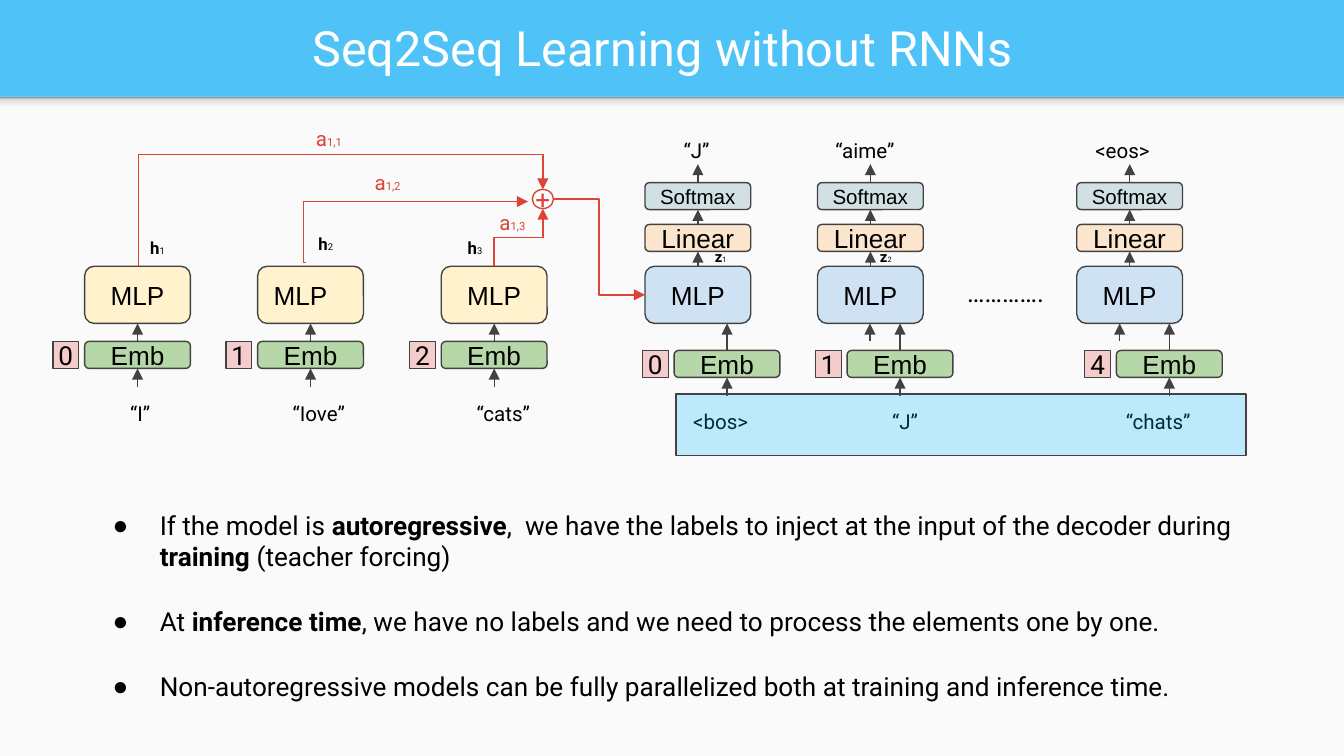
from lxml import etree
from pptx import Presentation
from pptx.dml.color import RGBColor
from pptx.enum.shapes import MSO_CONNECTOR, MSO_SHAPE
from pptx.enum.text import MSO_ANCHOR, MSO_AUTO_SIZE, PP_ALIGN
from pptx.oxml.ns import qn
from pptx.util import Cm, Pt

STRAIGHT, ELBOW = MSO_CONNECTOR.STRAIGHT, MSO_CONNECTOR.ELBOW
RECT, ROUND, OVAL = MSO_SHAPE.RECTANGLE, MSO_SHAPE.ROUNDED_RECTANGLE, MSO_SHAPE.OVAL
LEFT, CENTER = PP_ALIGN.LEFT, PP_ALIGN.CENTER
TOP, MIDDLE = MSO_ANCHOR.TOP, MSO_ANCHOR.MIDDLE

THEME = {
    "font": "Roboto", "block_font": "Arial",
    "header": "4FC3F7", "paper": "FAFAFA", "white": "FFFFFF", "text": "000000",
    "line": "424242", "attention": "DB4437", "index": "F4CCCC", "inputs": "00B6FF",
    "encoder": "FFF2CC", "decoder": "CFE2F3", "emb": "B6D7A8",
    "linear": "FCE5CD", "softmax": "D0E0E3",
    "title_size": 26, "body_size": 14, "label_size": 11,
    "stroke": 0.75, "margin": 0.25,
}
SHADOW_STOPS = [(0, "F9F9F9"), (36, "F9F9F9"), (80, "DEDEDE"), (100, "999999")]

# Content (lengths in cm)
TITLE = "Seq2Seq Learning without RNNs"
BULLETS = [
    [("If the model is ", False), ("autoregressive", True),
     (",  we have the labels to inject at the input of the decoder during ", False),
     ("training", True), (" (teacher forcing)", False)],
    [("At ", False), ("inference time", True),
     (", we have no labels and we need to process the elements one by one.", False)],
    [("Non-autoregressive models can be fully parallelized both at training "
      "and inference time.", False)],
]
# block left, position, MLP alignment, word, word left, word width
ENCODER = [
    (1.6, "0", CENTER, "“I”", 2.21, 1.12),
    (4.87, "1", LEFT, "“Iove”", 5.28, 1.6),
    (8.34, "2", CENTER, "“cats”", 8.76, 1.6),
]
# block left, emb left, position, (output, left, width), (input, left, width), side arrow x
DECODER = [
    (12.19, 12.74, "0", ("“J”", 12.67, 1.12), ("<bos>", 12.85, 1.78), None),
    (15.45, 16.01, "1", ("“aime”", 15.54, 1.78), ("“J”", 16.61, 1.12), 16.44),
    (20.35, 21.1, "4", ("<eos>", 20.45, 2.0), ("“chats”", 21.03, 1.85), 21.16),
]
# letter, subscript, left, top, width, sizes, colour, bold
MARKS = [
    ("h", "1", 2.59, 4.24, 0.97, (9, 5), "text", True),
    ("h", "2", 5.77, 4.17, 0.9, (9, 5), "text", True),
    ("h", "3", 8.59, 4.24, 0.91, (9, 5), "text", True),
    ("z", "1", 13.26, 4.42, 0.8, (8, 4), "text", True),
    ("z", "2", 16.38, 4.42, 0.8, (8, 4), "text", True),
    ("a", "1,1", 5.72, 2.13, 1.22, (11, 6), "attention", False),
    ("a", "1,2", 6.83, 2.97, 1.22, (11, 6), "attention", False),
    ("a", "1,3", 9.19, 3.71, 1.35, (11, 6), "attention", False),
]

# Rows of the diagram
BLOCK_W, MLP_H, BAR_H, INDEX_W, INDEX_STEP = 2.0, 1.08, 0.51, 0.49, 0.6
SOFTMAX_Y, LINEAR_Y, MLP_Y = 3.45, 4.24, 5.03
ENC_EMB_Y, DEC_EMB_Y = 6.45, 6.62
ARROW, LABEL_H = 0.35, 1.0

prs = Presentation()
prs.slide_width, prs.slide_height = Cm(25.4), Cm(14.28)
s = prs.slides.add_slide(prs.slide_layouts[1])


def rgb(name):
    return RGBColor.from_string(THEME.get(name, name))


def write(p, text, *, size=THEME["label_size"], color="text", bold=False,
          font=THEME["font"], align=LEFT):
    p.alignment = align
    r = p.add_run()
    r.text = text
    r.font.size, r.font.bold, r.font.name = Pt(size), bold, font
    r.font.color.rgb = rgb(color)


def frame(sp, anchor=TOP, side=THEME["margin"], edge=THEME["margin"]):
    tf = sp.text_frame
    tf.word_wrap, tf.auto_size, tf.vertical_anchor = True, MSO_AUTO_SIZE.NONE, anchor
    tf.margin_left = tf.margin_right = Cm(side)
    tf.margin_top = tf.margin_bottom = Cm(edge)
    return tf


def label(x, y, w, text, h=LABEL_H, **fmt):
    p = frame(s.shapes.add_textbox(Cm(x), Cm(y), Cm(w), Cm(h))).paragraphs[0]
    write(p, text, **fmt)
    return p


def box(kind, x, y, w, h, fill, line="line", text=None, side=0, **fmt):
    sp = s.shapes.add_shape(kind, Cm(x), Cm(y), Cm(w), Cm(h))
    sp.shadow.inherit = False
    sp.fill.solid()
    sp.fill.fore_color.rgb = rgb(fill)
    if line:
        sp.line.color.rgb, sp.line.width = rgb(line), Pt(THEME["stroke"])
    else:
        sp.line.fill.background()
    if text:
        write(frame(sp, MIDDLE, side, 0).paragraphs[0], text, **fmt)
    return sp


def block(x, y, h, fill, text, size=THEME["body_size"], align=CENTER):
    return box(ROUND, x, y, BLOCK_W, h, fill, text=text, side=THEME["margin"],
               size=size, align=align, font=THEME["block_font"])


def index(emb_x, y, text):
    box(RECT, emb_x - INDEX_STEP, y, INDEX_W, BAR_H, "index", text=text,
        size=THEME["body_size"], align=CENTER)


def arrow(x1, y1, x2, y2, kind=STRAIGHT, color="line", start=None, end=None):
    c = s.shapes.add_connector(kind, Cm(x1), Cm(y1), Cm(x2), Cm(y2))
    c.line.color.rgb, c.line.width = rgb(color), Pt(THEME["stroke"])
    etree.SubElement(c.line._get_or_add_ln(), qn("a:tailEnd"), type="triangle")
    etree.SubElement(c._element.spPr, qn("a:effectLst"))
    if start is not None:
        c.begin_connect(start, 0)
    if end is not None:
        c.end_connect(end, 2)
    return c


def elbow(x1, y1, x2, y2, bend, upright=False):
    """Bend at a share of the way; upright ones leave and arrive vertically."""
    c = arrow(x1, y1, x2, y2, ELBOW, "attention")
    if upright:
        w, h = y1 - y2, x2 - x1
        c.begin_x, c.end_x = Cm((x1 + x2 - w) / 2), Cm((x1 + x2 + w) / 2)
        c.begin_y, c.end_y = Cm((y1 + y2 - h) / 2), Cm((y1 + y2 + h) / 2)
        xfrm = c._element.spPr.find(qn("a:xfrm"))
        xfrm.attrib.pop("flipV", None)
        xfrm.set("rot", str(270 * 60000))
    guides = c._element.spPr.find(qn("a:prstGeom")).get_or_add_avLst()
    etree.SubElement(guides, qn("a:gd"), name="adj1", fmla=f"val {round(bend * 100000)}")


# Page and header shadow, behind the placeholders
page = box(RECT, 0, 1.83, 25.4, 12.45, "paper", None)
shadow = box(RECT, 0, 1.83, 25.4, 0.3, "paper", None)
s.background.fill.solid()
s.background.fill.fore_color.rgb = rgb("header")
shadow.fill.gradient()
shadow.fill.gradient_angle = 90
stops = shadow._element.spPr.find(qn("a:gradFill")).find(qn("a:gsLst"))
for old in list(stops):
    stops.remove(old)
for pos, color in SHADOW_STOPS:
    gs = etree.SubElement(stops, qn("a:gs"), pos=str(pos * 1000))
    etree.SubElement(gs, qn("a:srgbClr"), val=color)
for place, sp in enumerate((page, shadow), 2):
    s.shapes._spTree.insert(place, sp._element)

# Title and bullets
title, body = s.shapes.title, s.placeholders[1]
title.left, title.top, title.width, title.height = Cm(0.28), Cm(0.05), Cm(24.5), Cm(1.68)
write(frame(title, MIDDLE).paragraphs[0], TITLE, size=THEME["title_size"],
      color="white", align=CENTER)
body.left, body.top, body.width, body.height = Cm(1.5), Cm(9.37), Cm(22.55), Cm(4.2)
tf = frame(body)
for i, runs in enumerate(BULLETS):
    p = tf.add_paragraph() if i else tf.paragraphs[0]
    pPr = p._p.get_or_add_pPr()
    pPr.set("marL", str(Cm(1.27)))
    pPr.set("indent", str(-Cm(0.89)))
    etree.SubElement(etree.SubElement(pPr, qn("a:buClr")), qn("a:srgbClr"), val=THEME["text"])
    etree.SubElement(pPr, qn("a:buChar"), char="●")
    p.space_before = Pt(18 if i else 0)
    for text, bold in runs:
        write(p, text, size=THEME["body_size"], bold=bold)

# Encoder columns
for x, number, align, word, word_x, word_w in ENCODER:
    mid, foot = x + BLOCK_W / 2, ENC_EMB_Y + BAR_H
    mlp = block(x, MLP_Y, MLP_H, "encoder", "MLP", align=align)
    emb = block(x, ENC_EMB_Y, BAR_H, "emb", "Emb")
    arrow(mid, ENC_EMB_Y, mid, MLP_Y + MLP_H, start=emb, end=mlp)
    arrow(mid, foot + ARROW, mid, foot, end=emb)
    index(x, ENC_EMB_Y, number)
    label(word_x, 7.32, word_w, word)

# Decoder columns
for x, emb_x, number, output, source, side_x in DECODER:
    mid, emb_mid, foot = x + BLOCK_W / 2, emb_x + BLOCK_W / 2, DEC_EMB_Y + BAR_H
    mlp = block(x, MLP_Y, MLP_H, "decoder", "MLP")
    linear = block(x, LINEAR_Y, BAR_H, "linear", "Linear")
    softmax = block(x, SOFTMAX_Y, BAR_H, "softmax", "Softmax", THEME["label_size"])
    emb = block(emb_x, DEC_EMB_Y, BAR_H, "emb", "Emb")
    arrow(mid, MLP_Y, mid, LINEAR_Y + BAR_H, start=mlp, end=linear)
    arrow(mid, LINEAR_Y, mid, SOFTMAX_Y + BAR_H, start=linear, end=softmax)
    arrow(mid, SOFTMAX_Y, mid, SOFTMAX_Y - ARROW, start=softmax)
    arrow(emb_mid, DEC_EMB_Y, emb_mid, MLP_Y + MLP_H, start=emb)
    arrow(emb_mid, foot + ARROW, emb_mid, foot, end=emb)
    if side_x:
        arrow(side_x, ENC_EMB_Y, side_x, MLP_Y + MLP_H)
    index(emb_x, DEC_EMB_Y, number)
    for (word, word_x, word_w), y in ((output, 2.36), (source, 7.47)):
        label(word_x, y, word_w, word)
label(18.03, 4.98, 2.24, "………….", h=1.12, size=THEME["body_size"])

# Attention sum and its paths
box(OVAL, 10.06, 3.58, 0.4, 0.36, "white", "attention", "+",
    size=THEME["body_size"], color="attention")
elbow(2.62, MLP_Y, 10.26, 3.58, 1.455, upright=True)
elbow(9.34, MLP_Y, 10.26, 3.94, 0.5, upright=True)
elbow(5.78, 4.96, 9.98, 3.81, -0.01)
elbow(10.45, 3.76, 12.19, MLP_Y + MLP_H / 2, 0.5)
for letter, sub, x, y, w, (size, sub_size), color, bold in MARKS:
    p = label(x, y, w, letter, h=0.9, size=size, color=color, bold=bold)
    write(p, sub, size=sub_size, color=color)

# Tint over the decoder inputs
tint = box(RECT, 12.78, 7.44, 10.77, 1.17, "inputs")
solid = tint._element.spPr.find(qn("a:solidFill"))
etree.SubElement(solid[0], qn("a:alpha"), val="24000")

prs.save("out.pptx")
